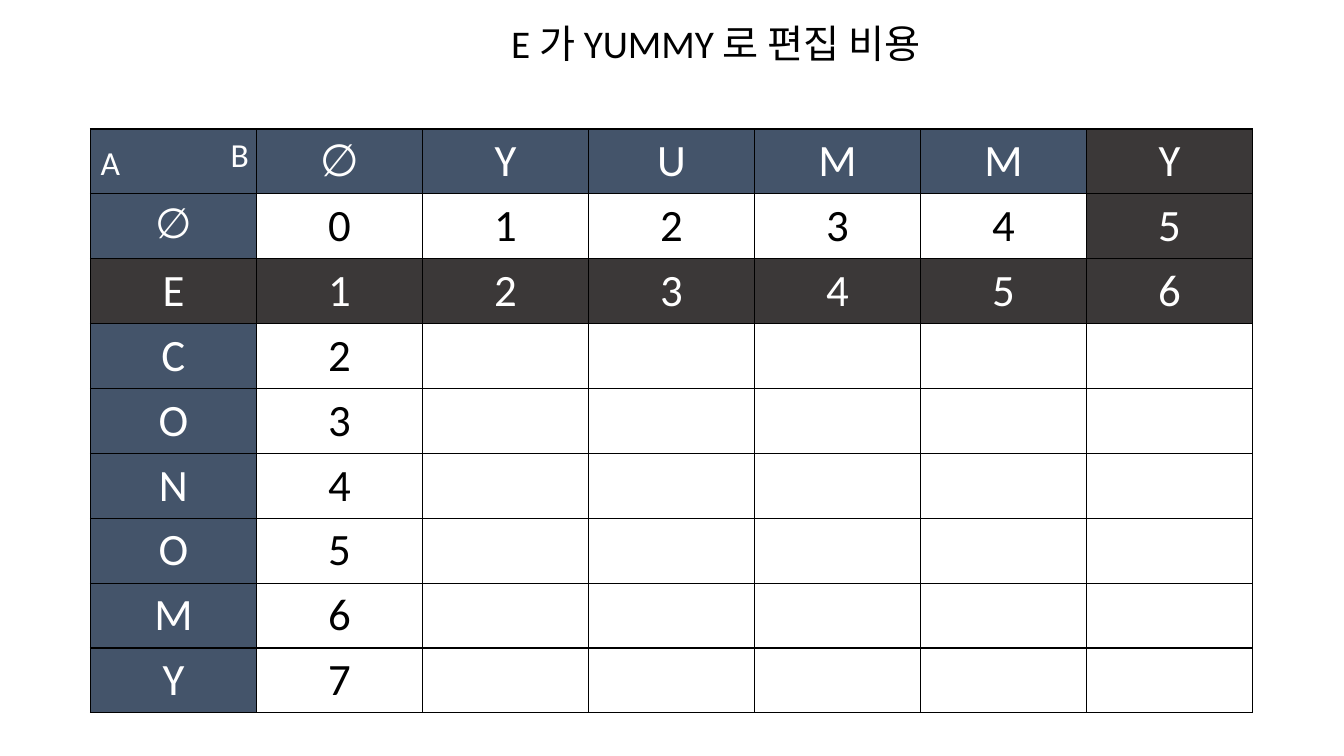
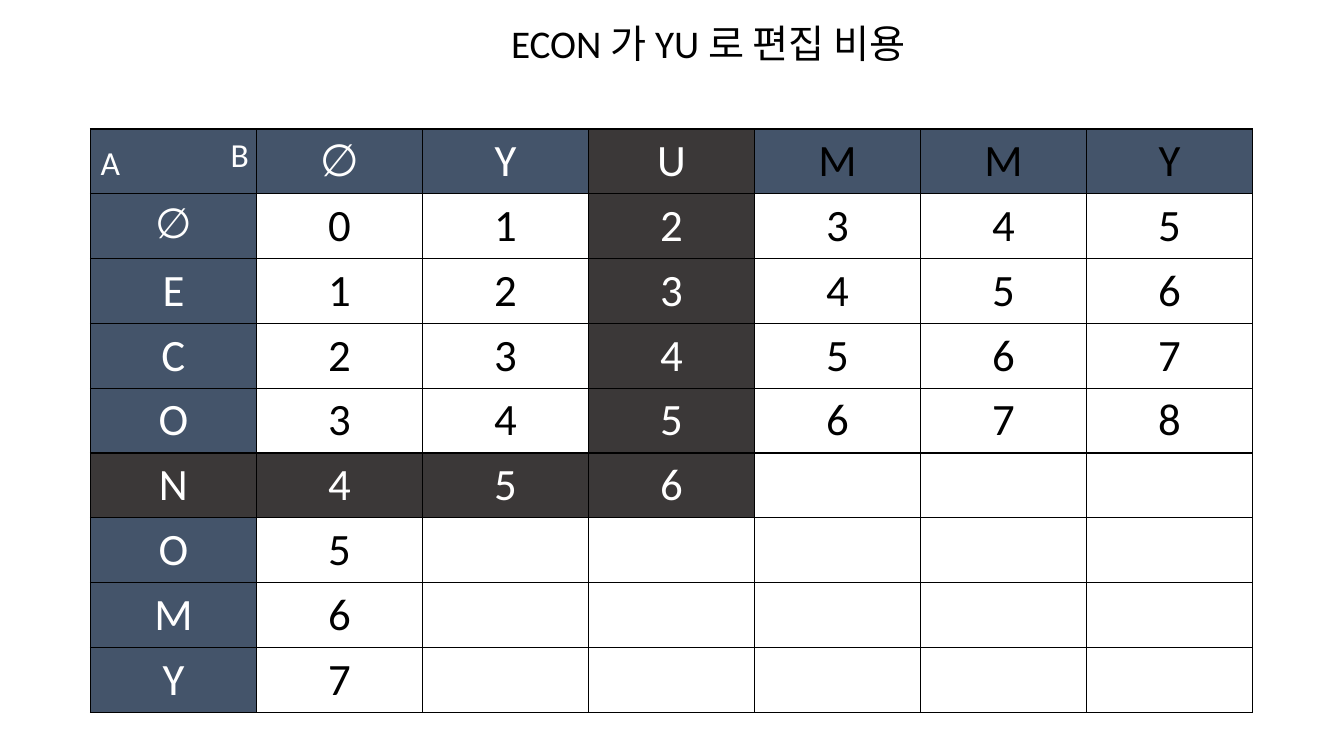
from lxml.etree import SubElement
from pptx import Presentation
from pptx.dml.color import RGBColor
from pptx.enum.text import MSO_AUTO_SIZE, PP_ALIGN
from pptx.oxml.ns import qn
from pptx.util import Pt

COLORS = {"header": "44546A", "marked": "3B3838", "white": "FFFFFF", "black": "000000"}
FONT = "Calibri"
SOURCE = "∅ECONOMY"
TARGET = "∅YUMMY"
LEFT, TOP, COL_W, ROW_H = 64.6, 92.1, 118.6, 46.3


class Deck:
    """Draws edit-distance slides in one shared style."""

    def __init__(self):
        self.prs = Presentation()
        self.prs.slide_width, self.prs.slide_height = Pt(960), Pt(540)
        self.s = None

    def add_slide(self):
        self.s = self.prs.slides.add_slide(self.prs.slide_layouts[6])

    def style(self, p, size, color):
        p.font.name, p.font.size = FONT, Pt(size)
        p.font.color.rgb = RGBColor.from_string(COLORS[color])

    def text(self, text, x, y, w, h, size, color, wrap=False):
        tf = self.s.shapes.add_textbox(Pt(x), Pt(y), Pt(w), Pt(h)).text_frame
        tf.word_wrap = wrap
        tf.auto_size = MSO_AUTO_SIZE.SHAPE_TO_FIT_TEXT
        p = tf.paragraphs[0]
        p.text = text
        self.style(p, size, color)

    def cell(self, cell, text, fill, color, size):
        tc_pr = cell._tc.get_or_add_tcPr()
        for side in ("a:lnL", "a:lnR", "a:lnT", "a:lnB"):
            ln = SubElement(tc_pr, qn(side), w=str(Pt(1)))
            SubElement(SubElement(ln, qn("a:solidFill")), qn("a:srgbClr"), val=COLORS["black"])
        cell.fill.solid()
        cell.fill.fore_color.rgb = RGBColor.from_string(COLORS[fill])
        if text:
            p = cell.text_frame.paragraphs[0]
            p.text, p.alignment = text, PP_ALIGN.CENTER
            self.style(p, size, color)

    def cost_table(self, row, col):
        n_rows, n_cols = len(SOURCE) + 1, len(TARGET) + 1
        table = self.s.shapes.add_table(
            n_rows, n_cols, Pt(LEFT), Pt(TOP), Pt(COL_W * n_cols), Pt(ROW_H * n_rows)
        ).table
        table.first_row = table.horz_banding = False
        for column in table.columns:
            column.width = Pt(COL_W)
        for table_row in table.rows:
            table_row.height = Pt(ROW_H)
        for r in range(n_rows):
            for c in range(n_cols):
                marked = (r == row and c <= col) or (c == col and r <= row)
                header = r == 0 or c == 0
                known = c == 1 or r < row or (r == row and c <= col)
                if r == 0:
                    text = TARGET[c - 1] if c else ""
                elif c == 0:
                    text = SOURCE[r - 1]
                else:
                    text = str(r + c - 2) if known else ""
                fill = "marked" if marked else "header" if header else "white"
                pending = r == 0 and c > col
                color = "black" if fill == "white" or pending else "white"
                self.cell(table.cell(r, c), text, fill, color, 30 if (r, c) == (1, 0) else 32)

    def cost_slide(self, title, title_w, row, col):
        self.add_slide()
        self.cost_table(row, col)
        self.text("A", 64.8, 98, 29, 36, 24, "white")
        self.text("B", 157.7, 92.1, 27.4, 36, 24, "white")
        self.text(title, 358, 10, title_w, 41, 28, "black", wrap=True)


def main():
    deck = Deck()
    deck.cost_slide("E 가 YUMMY 로 편집 비용", 324, row=2, col=6)
    deck.cost_slide("ECON 가 YU 로 편집 비용", 313, row=5, col=3)
    deck.prs.save("out.pptx")


if __name__ == "__main__":
    main()
